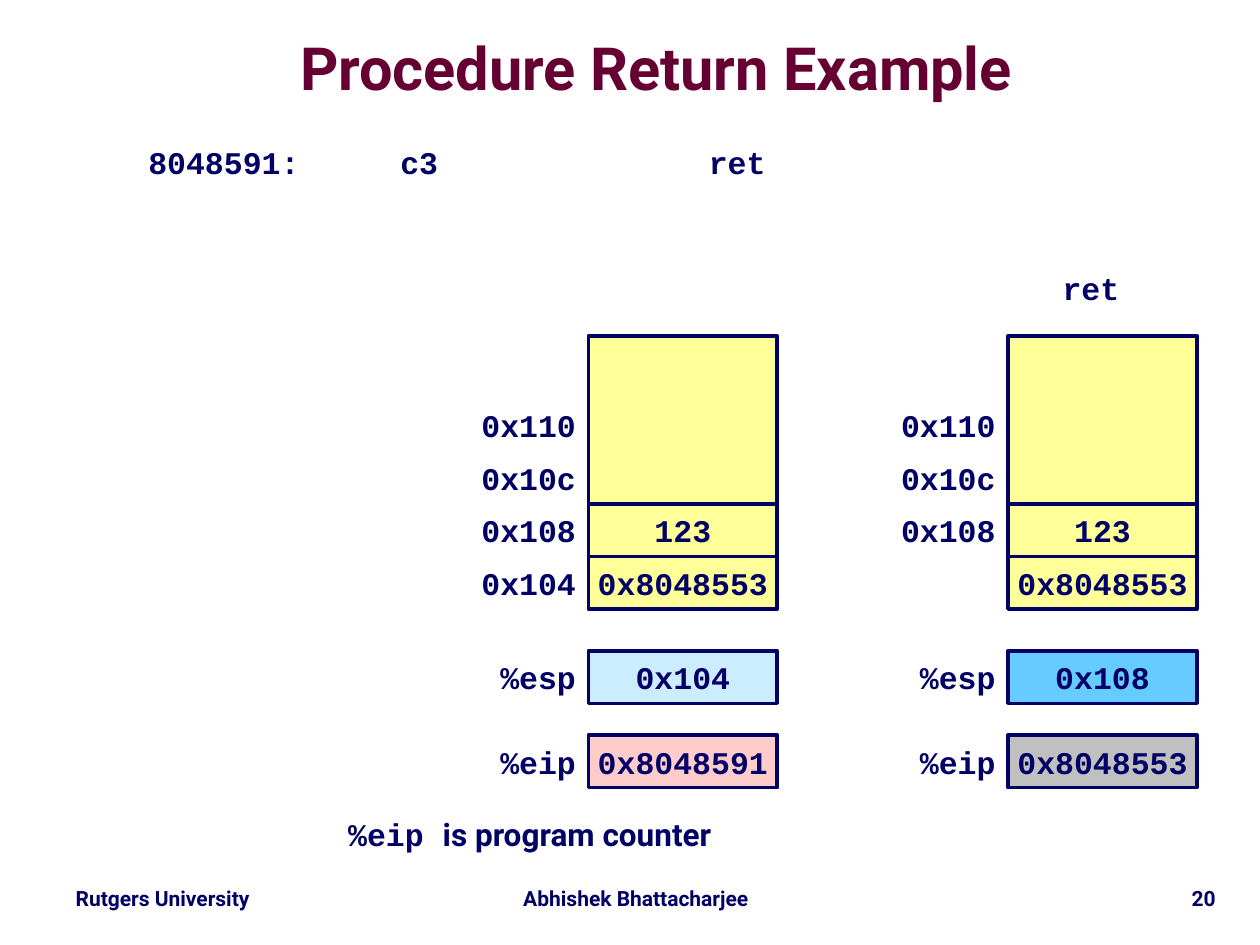
from lxml.etree import SubElement
from pptx import Presentation
from pptx.dml.color import RGBColor
from pptx.enum.shapes import MSO_SHAPE
from pptx.enum.text import MSO_ANCHOR, PP_ALIGN
from pptx.oxml.ns import qn
from pptx.util import Cm, Pt

NAVY, YELLOW, WHITE = "000066", "FFFF99", "FFFFFF"
CODE, SANS = "Courier New", "Roboto"
CELL_WIDTH, ROW = 3.81, 1.06
STACK_TOP, STACK_BASE = 6.77, 10.16


def rgb(value):
    return RGBColor.from_string(value)


def write(shape, text, align, size=18, font=CODE, color=NAVY, spacing=1.0):
    frame = shape.text_frame
    frame.word_wrap = True
    paragraph = frame.paragraphs[0]
    paragraph.text = text
    paragraph.alignment = align
    paragraph.line_spacing = spacing
    paragraph.font.size = Pt(size)
    paragraph.font.bold = True
    paragraph.font.name = font
    paragraph.font.color.rgb = rgb(color)
    return paragraph


presentation = Presentation()
presentation.slide_width, presentation.slide_height = Cm(25.4), Cm(19.05)
slide = presentation.slides.add_slide(presentation.slide_layouts[5])
shapes = slide.shapes

title = shapes.title
title.left, title.top, title.width, title.height = Cm(2.12), Cm(0.64), Cm(22.22), Cm(1.6)
title_frame = title.text_frame
title_frame.margin_left = title_frame.margin_right = 0
title_frame.margin_top = title_frame.margin_bottom = 0
title_frame.vertical_anchor = MSO_ANCHOR.MIDDLE
write(title, "Procedure Return Example", PP_ALIGN.CENTER, 34, SANS, "660033", 0.87)

footers = [
    ("Rutgers University", 0.84, 4.88, PP_ALIGN.CENTER),
    ("20", 20.75, 4.01, PP_ALIGN.RIGHT),
    ("Abhishek Bhattacharjee", 9.96, 5.72, PP_ALIGN.CENTER),
]
for text, left, width, align in footers:
    footer = shapes.add_textbox(Cm(left), Cm(17.78), Cm(width), Cm(0.74))
    write(footer, text, align, 12, SANS, spacing=0.9)

instruction = shapes.add_textbox(Cm(2.74), Cm(2.75), Cm(14.35), Cm(1.02))
instruction_line = instruction.text_frame.paragraphs[0]
tab_list = SubElement(instruction_line._p.get_or_add_pPr(), qn("a:tabLst"))
for stop in (5.08, 11.3):
    SubElement(tab_list, qn("a:tab"), pos=str(Cm(stop)), algn="l")
write(instruction, "8048591:\tc3\tret", PP_ALIGN.LEFT)

step = shapes.add_textbox(Cm(21.17), Cm(5.29), Cm(1.8), Cm(1.02))
write(step, "ret", PP_ALIGN.LEFT)

note = shapes.add_textbox(Cm(6.77), Cm(16.3), Cm(8.6), Cm(1.02))
note_line = write(note, "%eip ", PP_ALIGN.LEFT)
meaning = note_line.add_run()
meaning.text = "is program counter"
meaning.font.name = SANS

states = [
    (8.05, "0x104", ("0x104", "CCECFF"), ("0x8048591", "FFCCCC")),
    (16.51, "", ("0x108", "66CCFF"), ("0x8048553", "C0C0C0")),
]
for left, last_address, (esp, esp_fill), (eip, eip_fill) in states:
    cell_left = left + CELL_WIDTH
    labels = [
        ("0x110", STACK_BASE - 2 * ROW),
        ("0x10c", STACK_BASE - ROW),
        ("0x108", STACK_BASE),
        (last_address, STACK_BASE + ROW),
        ("%esp", 13.12),
        ("%eip", 14.82),
    ]
    cells = [
        ("", STACK_TOP, STACK_BASE - STACK_TOP, YELLOW),
        ("123", STACK_BASE, ROW, YELLOW),
        ("0x8048553", STACK_BASE + ROW, ROW, YELLOW),
        (esp, 13.12, ROW, esp_fill),
        (eip, 14.82, ROW, eip_fill),
    ]
    for text, top in labels:
        if text:
            label = shapes.add_shape(
                MSO_SHAPE.RECTANGLE, Cm(left), Cm(top), Cm(CELL_WIDTH), Cm(ROW))
            label.shadow.inherit = False
            label.fill.solid()
            label.fill.fore_color.rgb = rgb(WHITE)
            label.line.fill.background()
            label.text_frame.vertical_anchor = MSO_ANCHOR.MIDDLE
            write(label, text, PP_ALIGN.RIGHT)
    for text, top, height, fill in cells:
        cell = shapes.add_shape(
            MSO_SHAPE.RECTANGLE, Cm(cell_left), Cm(top), Cm(CELL_WIDTH), Cm(height))
        cell.shadow.inherit = False
        cell.fill.solid()
        cell.fill.fore_color.rgb = rgb(fill)
        cell.line.color.rgb = rgb(NAVY)
        cell.line.width = Pt(2)
        if text:
            cell.text_frame.margin_left = cell.text_frame.margin_right = 0
            cell.text_frame.vertical_anchor = MSO_ANCHOR.MIDDLE
            write(cell, text, PP_ALIGN.CENTER)

presentation.save("out.pptx")
